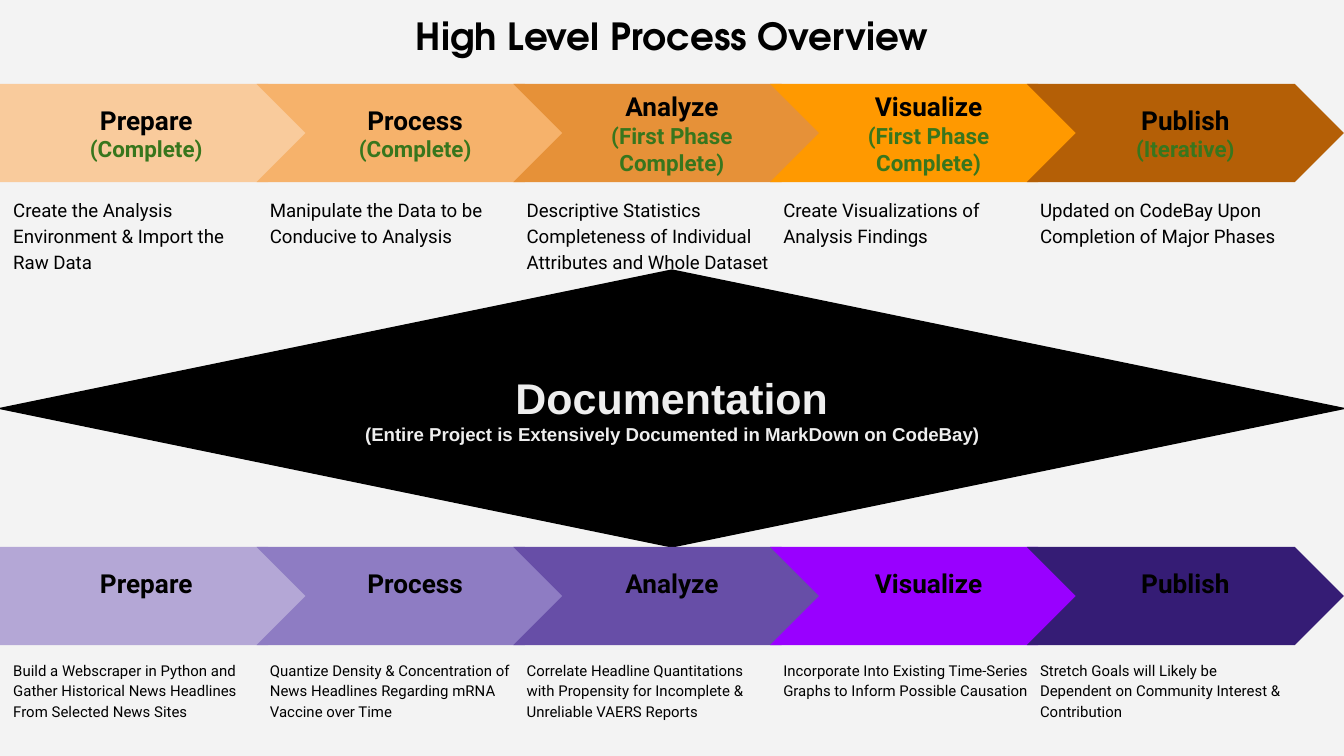
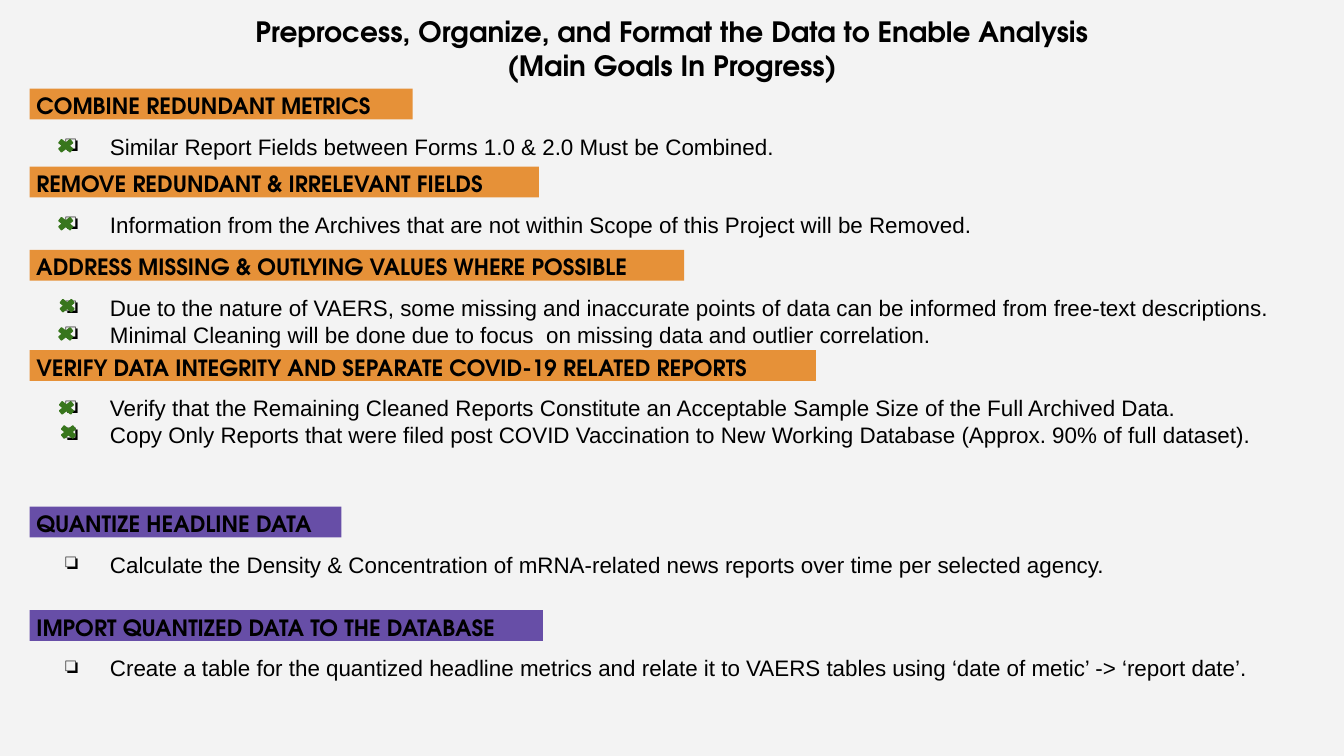
"""Build a two-slide overview of a data analysis project."""
from lxml.etree import SubElement
from pptx import Presentation
from pptx.dml.color import RGBColor
from pptx.enum.shapes import MSO_SHAPE as Shape
from pptx.enum.text import MSO_ANCHOR as Anchor, PP_ALIGN as Align
from pptx.oxml.ns import qn
from pptx.util import Inches, Pt

COLORS = {
    "page": "F3F3F3", "ink": "000000", "pale": "EEEEEE", "done": "38761D",
    "current": "E69138", "next": "674EA7",
}
HEADING, LABEL, BODY = "TeX Gyre Adventor", "Roboto", "Arial"
COLUMNS, ROWS = 100, 56.25
STEP = 19.1

CURRENT_PHASE = [
    ("Prepare", "(Complete)", "F9CB9C",
     "Create the Analysis Environment & Import the Raw Data"),
    ("Process", "(Complete)", "F6B26B",
     "Manipulate the Data to be Conducive to Analysis"),
    ("Analyze", "(First Phase Complete)", "E69138",
     "Descriptive Statistics Completeness of Individual Attributes and Whole Dataset"),
    ("Visualize", "(First Phase Complete)", "FF9900",
     "Create Visualizations of Analysis Findings"),
    ("Publish", "(Iterative)", "B45F06",
     "Updated on CodeBay Upon Completion of Major Phases"),
]
NEXT_PHASE = [
    ("Prepare", "", "B4A7D6",
     "Build a Webscraper in Python and Gather Historical News Headlines "
     "From Selected News Sites"),
    ("Process", "", "8E7CC3",
     "Quantize Density & Concentration of News Headlines Regarding mRNA Vaccine over Time"),
    ("Analyze", "", "674EA7",
     "Correlate Headline Quantitations with Propensity for Incomplete & "
     "Unreliable VAERS Reports"),
    ("Visualize", "", "9900FF",
     "Incorporate Into Existing Time-Series Graphs to Inform Possible Causation"),
    ("Publish", "", "351C75",
     "Stretch Goals will Likely be Dependent on Community Interest & Contribution"),
]
GOALS = [
    (6.6, 28.5, "current", "COMBINE REDUNDANT METRICS",
     ["Similar Report Fields between Forms 1.0 & 2.0 Must be Combined."],
     [(4.1, 10.2)]),
    (12.4, 37.9, "current", "REMOVE REDUNDANT & IRRELEVANT FIELDS",
     ["Information from the Archives that are not within Scope of this Project "
      "will be Removed."],
     [(4.1, 16)]),
    (18.6, 48.7, "current", "ADDRESS MISSING & OUTLYING VALUES WHERE POSSIBLE",
     ["Due to the nature of VAERS, some missing and inaccurate points of data can be "
      "informed from free-text descriptions.",
      "Minimal Cleaning will be done due to focus  on missing data and outlier correlation."],
     [(4.2, 22.1), (4.1, 24.2)]),
    (26.05, 58.5, "current", "VERIFY DATA INTEGRITY AND SEPARATE COVID-19 RELATED REPORTS",
     ["Verify that the Remaining Cleaned Reports Constitute an Acceptable Sample Size "
      "of the Full Archived Data.",
      "Copy Only Reports that were filed post COVID Vaccination to New Working Database "
      "(Approx. 90% of full dataset)."],
     [(4.15, 29.7), (4.3, 31.5)]),
    (37.7, 23.2, "next", "QUANTIZE HEADLINE DATA",
     ["Calculate the Density & Concentration of mRNA-related news reports over time "
      "per selected agency."], []),
    (45.4, 38.2, "next", "IMPORT QUANTIZED DATA TO THE DATABASE",
     ["Create a table for the quantized headline metrics and relate it to VAERS tables "
      "using ‘date of metic’ -> ‘report date’."], []),
]


class Board:
    """Hold the deck's style and the current slide."""

    def __init__(self):
        """Open an empty widescreen deck."""
        self.deck = Presentation()
        self.deck.slide_width, self.deck.slide_height = Inches(10), Inches(5.625)
        self.page = None

    def new_page(self):
        """Start a blank slide with the shared background."""
        self.page = self.deck.slides.add_slide(self.deck.slide_layouts[6])
        self.page.background.fill.solid()
        self.page.background.fill.fore_color.rgb = RGBColor.from_string(COLORS["page"])

    def place(self, left, top, width, height):
        """Turn grid columns and rows into slide lengths."""
        column, row = self.deck.slide_width / COLUMNS, self.deck.slide_height / ROWS
        return [int(n * unit) for n, unit in zip((left, top, width, height), (column, row) * 2)]

    def set_lines(self, box, lines, font, bold=False, align=Align.LEFT, spacing=None,
                  insets=(0.1, 0.1, 0.1, 0.1), anchor=Anchor.TOP):
        """Fill a box with (text, size, colour) lines."""
        frame = box.text_frame
        frame.word_wrap, frame.vertical_anchor = True, anchor
        (frame.margin_left, frame.margin_top,
         frame.margin_right, frame.margin_bottom) = map(Inches, insets)
        frame.text = "\n".join(text for text, _, _ in lines)
        for para, (_, size, color) in zip(frame.paragraphs, lines):
            para.alignment = align
            if spacing:
                para.line_spacing = spacing
            for span in para.runs:
                span.font.name, span.font.size, span.font.bold = font, Pt(size), bold
                span.font.color.rgb = RGBColor.from_string(color)

    def shape(self, kind, cells, fill, outlined=False, parent=None):
        """Add a flat preset shape."""
        box = (parent or self.page).shapes.add_shape(kind, *self.place(*cells))
        box.shadow.inherit = False
        box.fill.solid()
        box.fill.fore_color.rgb = RGBColor.from_string(fill)
        if outlined:
            box.line.color.rgb = RGBColor.from_string(fill)
            box.line.width = Pt(0.75)
        else:
            box.line.fill.background()
        return box

    def text(self, cells, lines, font, parent=None, **style):
        """Add a text box."""
        box = (parent or self.page).shapes.add_textbox(*self.place(*cells))
        self.set_lines(box, lines, font, **style)
        return box

    def title(self, top, size, *lines):
        """Add the centred slide title."""
        self.text((0, top, COLUMNS, 6.3), [(line, size, COLORS["ink"]) for line in lines],
                  HEADING, bold=True, align=Align.CENTER, insets=(0, 0.1, 0, 0.1))

    def process(self, top, stages, size):
        """Add a row of arrows with a description under each."""
        for index, (name, status, fill, detail) in enumerate(stages):
            left, first = index * STEP, index == 0
            group = self.page.shapes.add_group_shape()
            arrow = self.shape(Shape.PENTAGON if first else Shape.CHEVRON,
                               (left, top, 23.6, 7.3), fill, parent=group)
            lines = [(name, 14, COLORS["ink"])]
            if status:
                lines.append((status, 12, COLORS["done"]))
            self.set_lines(arrow, lines, LABEL, bold=True, align=Align.CENTER,
                           anchor=Anchor.MIDDLE,
                           insets=(0.1, 0.1, 0.1, 0.1 if status else 0.3))
            self.text((left, top + 7.3, 19.2 if first else 20.3, 28.6),
                      [(detail, size, COLORS["ink"])], LABEL, parent=group, spacing=1.15)

    def diamond(self, cells, heading, note):
        """Add the wide diamond with a heading and a note."""
        box = self.shape(Shape.FLOWCHART_DECISION, cells, COLORS["ink"], outlined=True)
        self.set_lines(box, [(heading, 23, COLORS["pale"]), (note, 10, COLORS["pale"])], BODY,
                       bold=True, align=Align.CENTER, anchor=Anchor.MIDDLE)

    def bullets(self, cells, items, margin):
        """Add a list with checkbox bullets."""
        box = self.text(cells, [(item, 12, COLORS["ink"]) for item in items], BODY,
                        insets=(0.1, margin, 0.1, margin))
        for para in box.text_frame.paragraphs:
            props = para._p.get_or_add_pPr()
            props.set("marL", str(Inches(0.5)))
            props.set("indent", str(Inches(-0.33)))
            color = SubElement(props, qn("a:buClr"))
            SubElement(color, qn("a:srgbClr"), val=COLORS["ink"])
            SubElement(props, qn("a:buChar"), char="❏")

    def goal(self, top, width, phase, heading, items, marks):
        """Add a heading band, its checklist and the marks for finished items."""
        band = self.shape(Shape.RECTANGLE, (2.2, top, width, 2.3), COLORS[phase])
        self.set_lines(band, [(heading, 12, COLORS["ink"])], HEADING, bold=True, spacing=0.9,
                       insets=(0.05,) * 4)
        several = len(items) > 1
        self.bullets((2.2, top + 2.3, 95.7, 6.3 if several else 3.5), items,
                     0.1 if several else 0.2)
        for left, mark_top in marks:
            self.shape(Shape.MATH_MULTIPLY, (left, mark_top, 1.6, 1.3), COLORS["done"],
                       outlined=True)


def main():
    """Build both slides and save the deck."""
    board = Board()
    board.new_page()
    board.title(0, 20, "High Level Process Overview")
    board.process(6.25, CURRENT_PHASE, 10)
    board.diamond((0, 20.1, COLUMNS, 20.6), "Documentation",
                  "(Entire Project is Extensively Documented in MarkDown on CodeBay)")
    board.process(40.7, NEXT_PHASE, 8)

    board.new_page()
    board.title(0.1, 15, "Preprocess, Organize, and Format the Data to Enable Analysis",
                "(Main Goals In Progress)")
    for goal in GOALS:
        board.goal(*goal)
    board.deck.save("out.pptx")


if __name__ == "__main__":
    main()
